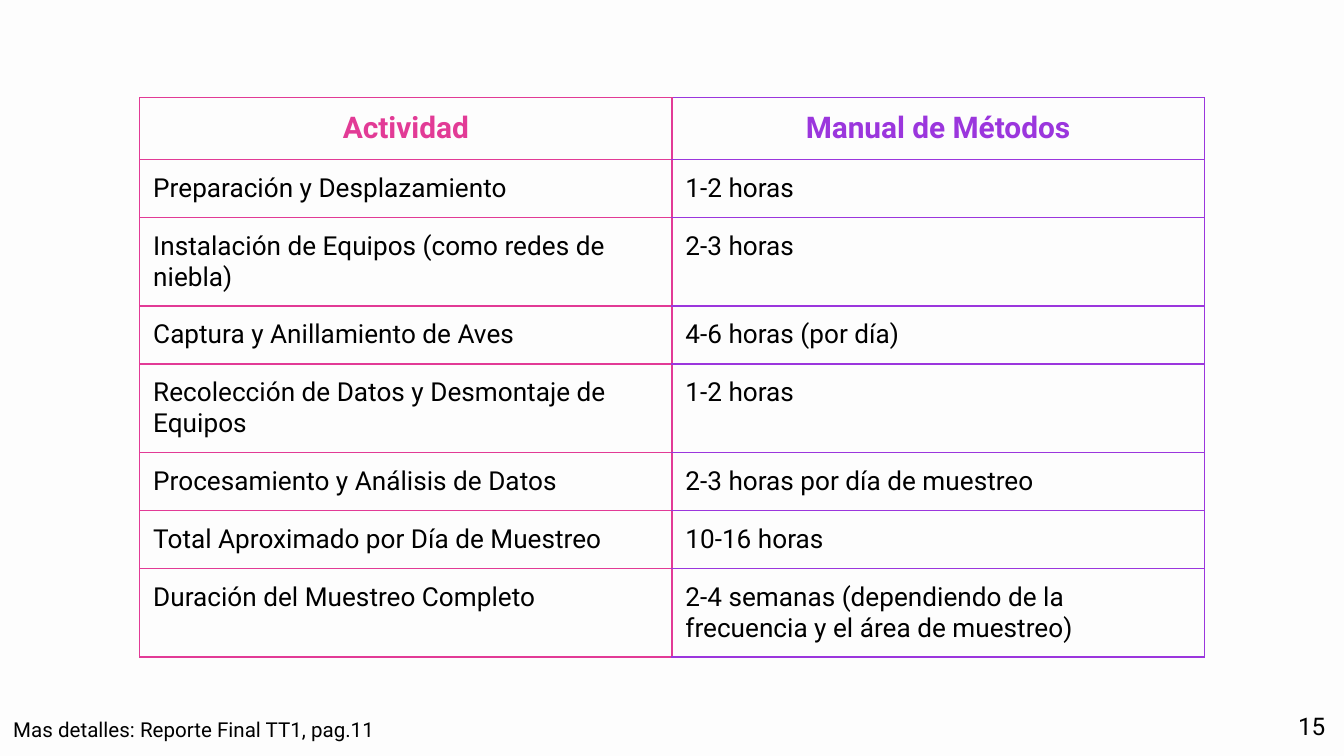
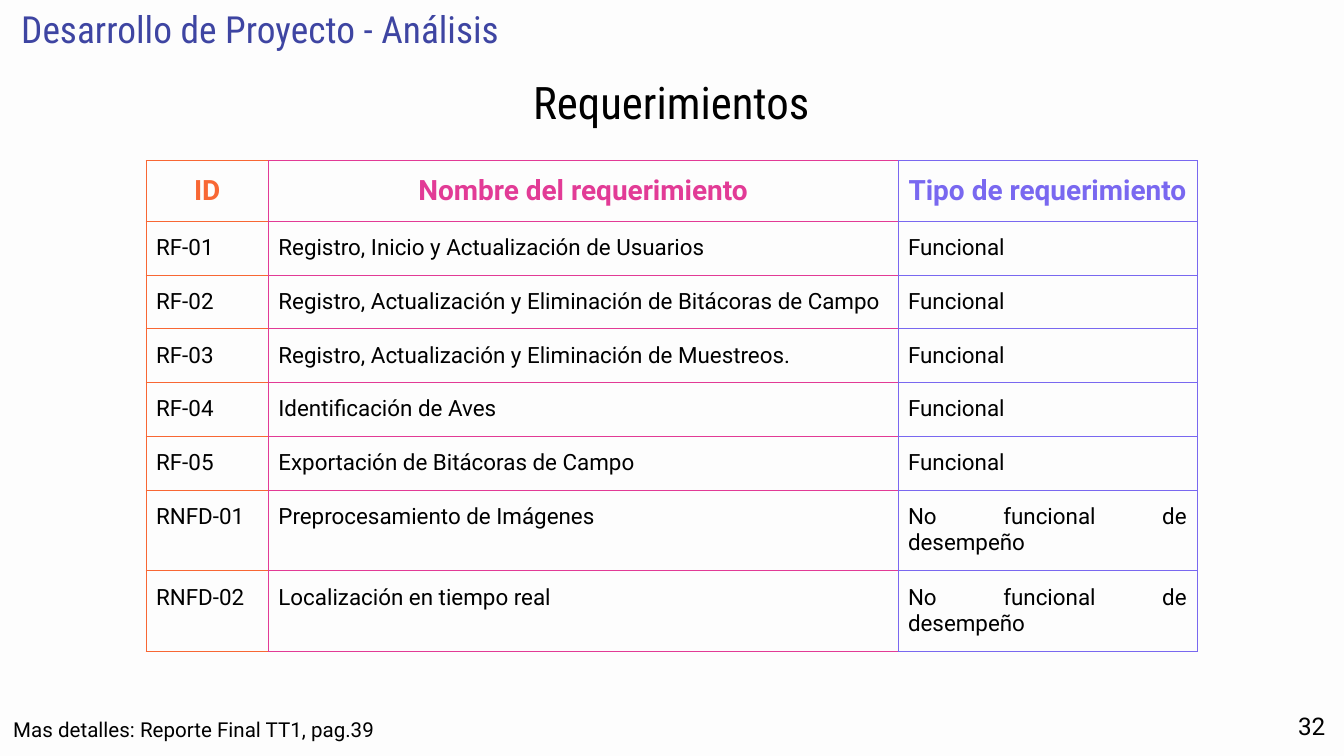
from dataclasses import dataclass

import pptx
import pptx.dml.color
import pptx.enum.text
import pptx.oxml
import pptx.oxml.ns
import pptx.presentation
import pptx.slide
import pptx.table
import pptx.text.text
import pptx.util

ALIGN = pptx.enum.text.PP_ALIGN
ANCHOR = pptx.enum.text.MSO_ANCHOR


# Theme: colours, fonts, type sizes and grid
@dataclass(frozen=True)
class Theme:
    paper: str = "FDFDFD"
    ink: str = "000000"
    indigo: str = "3E45A2"
    pink: str = "E23B96"
    purple: str = "9B36DD"
    orange: str = "F86734"
    violet: str = "7968F0"
    body: str = "Roboto"
    display: str = "Roboto Condensed"
    title_size: int = 24
    section_size: int = 20
    number_size: int = 13
    note_size: int = 11
    inset: float = 7.2
    width: float = 10
    height: float = 10 * 9 / 16
    grid: int = 100


THEME = Theme()


@dataclass(frozen=True)
class TextStyle:
    size: float
    colour: str = THEME.ink
    font: str = THEME.body
    bold: bool = False
    align: ALIGN = ALIGN.LEFT


@dataclass(frozen=True)
class Area:
    """Left, top, width and height in grid columns and rows."""
    left: float
    top: float
    width: float
    height: float

    def lengths(self) -> tuple[int, int, int, int]:
        return (columns(self.left), rows(self.top),
                columns(self.width), rows(self.height))


@dataclass(frozen=True)
class Column:
    heading: str
    width: float
    accent: str
    align: ALIGN = ALIGN.LEFT


@dataclass(frozen=True)
class TableDesign:
    left: float
    top: float
    row_height: float
    columns: tuple[Column, ...]
    edges: tuple[str, ...]  # colours of the vertical rules, left to right
    heading_size: int
    body_size: int
    side_inset: float
    rule: float


NUMBER_AREA = Area(93.6, 92.35, 6, 7.65)
NOTE_AREA = Area(0, 93.24, 29.7, 6.05)
SECTION_AREA = Area(0.6, 1.07, 37.7, 5.52)
TITLE_AREA = Area(4.9, 7.95, 90.1, 10.85)

# Contents of the two tables
SCHEDULE = TableDesign(
    10.4, 12.95, 7.47,
    (Column("Actividad", 39.6, THEME.pink),
     Column("Manual de Métodos", 39.6, THEME.purple)),
    edges=(THEME.pink, THEME.pink, THEME.purple),
    heading_size=16, body_size=14, side_inset=7.2, rule=0.75)
SCHEDULE_ROWS = [
    ("Preparación y Desplazamiento", "1-2 horas"),
    ("Instalación de Equipos (como redes de niebla)", "2-3 horas"),
    ("Captura y Anillamiento de Aves", "4-6 horas (por día)"),
    ("Recolección de Datos y Desmontaje de Equipos", "1-2 horas"),
    ("Procesamiento y Análisis de Datos", "2-3 horas por día de muestreo"),
    ("Total Aproximado por Día de Muestreo", "10-16 horas"),
    ("Duración del Muestreo Completo",
     "2-4 semanas (dependiendo de la frecuencia y el área de muestreo)"),
]

REQUIREMENTS = TableDesign(
    10.87, 21.25, 6.94,
    (Column("ID", 9.1, THEME.orange, ALIGN.JUSTIFY),
     Column("Nombre del requerimiento", 46.85, THEME.pink),
     Column("Tipo de requerimiento", 22.25, THEME.violet, ALIGN.JUSTIFY)),
    edges=(THEME.orange, THEME.pink, THEME.violet, THEME.violet),
    heading_size=15, body_size=12, side_inset=5.4, rule=0.6)
FUNCTIONAL = [
    "Registro, Inicio y Actualización de Usuarios",
    "Registro, Actualización y Eliminación de Bitácoras de Campo",
    "Registro, Actualización y Eliminación de Muestreos.",
    "Identificación de Aves",
    "Exportación de Bitácoras de Campo",
]
PERFORMANCE = ["Preprocesamiento de Imágenes", "Localización en tiempo real"]
REQUIREMENT_ROWS = [
    (f"{prefix}-{index:02d}", name, kind)
    for prefix, kind, names in (
        ("RF", "Funcional", FUNCTIONAL),
        ("RNFD", "No funcional de desempeño", PERFORMANCE))
    for index, name in enumerate(names, start=1)
]


# Grid and text helpers
def columns(count: float) -> int:
    return pptx.util.Inches(THEME.width * count / THEME.grid)


def rows(count: float) -> int:
    return pptx.util.Inches(THEME.height * count / THEME.grid)


def colour_of(code: str) -> pptx.dml.color.RGBColor:
    return pptx.dml.color.RGBColor.from_string(code)


def write(frame: pptx.text.text.TextFrame, text: str, style: TextStyle) -> None:
    frame.text = text
    for para in frame.paragraphs:
        para.alignment = style.align
        for span in para.runs:
            span.font.name = style.font
            span.font.size = pptx.util.Pt(style.size)
            span.font.bold = style.bold
            span.font.color.rgb = colour_of(style.colour)


def set_insets(target: pptx.text.text.TextFrame | pptx.table._Cell,
               side: float = THEME.inset) -> None:
    target.margin_left = target.margin_right = pptx.util.Pt(side)
    target.margin_top = target.margin_bottom = pptx.util.Pt(THEME.inset)


def add_text(page: pptx.slide.Slide, area: Area, text: str, style: TextStyle,
             anchor: ANCHOR = ANCHOR.TOP) -> None:
    frame = page.shapes.add_textbox(*area.lengths()).text_frame
    frame.word_wrap = True
    frame.vertical_anchor = anchor
    set_insets(frame)
    write(frame, text, style)


# Table drawing
def set_borders(cell: pptx.table._Cell, left: str, right: str, level: str,
                width: float) -> None:
    properties = cell._tc.get_or_add_tcPr()
    sides = {"lnL": left, "lnR": right, "lnT": level, "lnB": level}
    for position, (tag, colour) in enumerate(sides.items()):
        line = pptx.oxml.parse_xml(
            f'<a:{tag} {pptx.oxml.ns.nsdecls("a")} w="{pptx.util.Pt(width)}">'
            f'<a:solidFill><a:srgbClr val="{colour}"/></a:solidFill>'
            f'<a:prstDash val="solid"/></a:{tag}>')
        properties.insert(position, line)


def add_ruled_table(page: pptx.slide.Slide, design: TableDesign,
                    records: list[tuple[str, ...]]) -> None:
    headings = tuple(column.heading for column in design.columns)
    lines = [headings, *records]
    area = Area(design.left, design.top,
                sum(column.width for column in design.columns),
                design.row_height * len(lines))
    table = page.shapes.add_table(
        len(lines), len(headings), *area.lengths()).table
    table.first_row = table.horz_banding = False
    for row in table.rows:
        row.height = rows(design.row_height)

    for across, column in enumerate(design.columns):
        table.columns[across].width = columns(column.width)
        heading = TextStyle(design.heading_size, column.accent, bold=True,
                            align=ALIGN.CENTER)
        body = TextStyle(design.body_size, align=column.align)
        left, right = design.edges[across:across + 2]
        for down, line in enumerate(lines):
            cell = table.cell(down, across)
            cell.fill.background()
            set_insets(cell, design.side_inset)
            set_borders(cell, left, right, column.accent, design.rule)
            write(cell.text_frame, line[across], body if down else heading)


# Parts shared by the slides
def add_footer(page: pptx.slide.Slide, number: int, report_page: int) -> None:
    add_text(page, NUMBER_AREA, str(number),
             TextStyle(THEME.number_size, align=ALIGN.RIGHT))
    add_text(page, NOTE_AREA, f"Mas detalles: Reporte Final TT1, pag.{report_page}",
             TextStyle(THEME.note_size))


def set_title(page: pptx.slide.Slide, text: str) -> None:
    title = page.shapes.title
    title.left, title.top, title.width, title.height = TITLE_AREA.lengths()
    frame = title.text_frame
    frame.word_wrap = True
    frame.auto_size = pptx.enum.text.MSO_AUTO_SIZE.SHAPE_TO_FIT_TEXT
    frame.vertical_anchor = ANCHOR.MIDDLE
    set_insets(frame)
    write(frame, text, TextStyle(THEME.title_size, font=THEME.display,
                                 align=ALIGN.CENTER))


# Slides
def add_schedule_page(deck: pptx.presentation.Presentation) -> None:
    page = deck.slides.add_slide(deck.slide_layouts.get_by_name("Blank"))
    add_ruled_table(page, SCHEDULE, SCHEDULE_ROWS)
    add_footer(page, number=15, report_page=11)


def add_requirements_page(deck: pptx.presentation.Presentation) -> None:
    page = deck.slides.add_slide(deck.slide_layouts.get_by_name("Title Only"))
    set_title(page, "Requerimientos")
    add_text(page, SECTION_AREA, "Desarrollo de Proyecto - Análisis",
             TextStyle(THEME.section_size, THEME.indigo, THEME.display),
             ANCHOR.MIDDLE)
    add_ruled_table(page, REQUIREMENTS, REQUIREMENT_ROWS)
    add_footer(page, number=32, report_page=39)


def main() -> None:
    deck = pptx.Presentation()
    deck.slide_width = pptx.util.Inches(THEME.width)
    deck.slide_height = pptx.util.Inches(THEME.height)
    background = deck.slide_master.background.fill
    background.solid()
    background.fore_color.rgb = colour_of(THEME.paper)
    add_schedule_page(deck)
    add_requirements_page(deck)
    deck.save("out.pptx")


if __name__ == "__main__":
    main()
